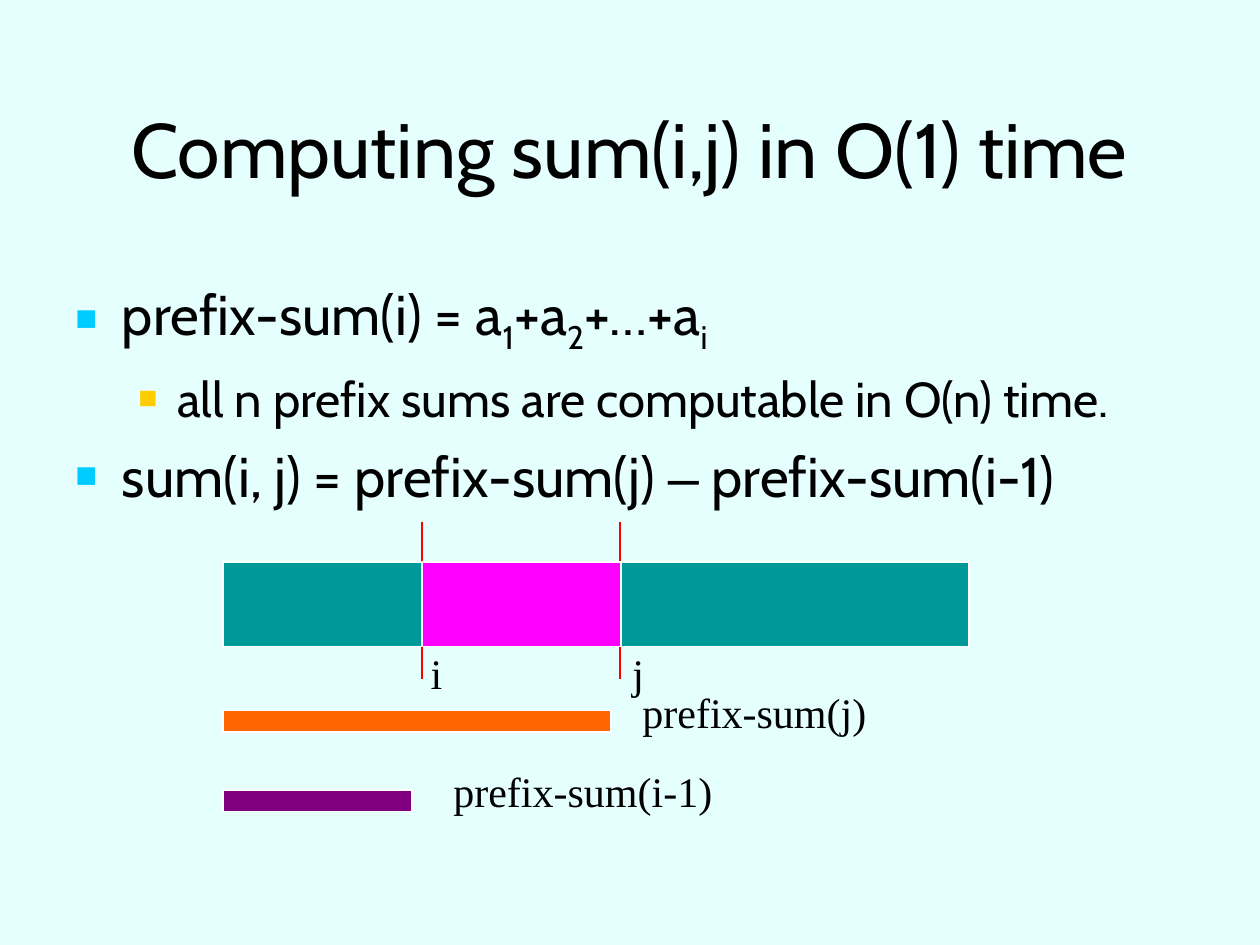
from pptx import Presentation
from pptx.util import Inches, Pt
from pptx.dml.color import RGBColor
from pptx.enum.shapes import MSO_SHAPE, MSO_CONNECTOR
from pptx.enum.text import MSO_ANCHOR, PP_ALIGN
from pptx.oxml.ns import qn
from lxml.etree import SubElement

BACKGROUND = RGBColor(0xE5, 0xFF, 0xFF)
BLACK = RGBColor(0x00, 0x00, 0x00)
WHITE = RGBColor(0xFF, 0xFF, 0xFF)
CYAN = RGBColor(0x00, 0xCC, 0xFF)
YELLOW = RGBColor(0xFF, 0xCC, 0x00)
TEAL = RGBColor(0x00, 0x99, 0x99)
MAGENTA = RGBColor(0xFF, 0x00, 0xFF)
ORANGE = RGBColor(0xFF, 0x66, 0x00)
PURPLE = RGBColor(0x80, 0x00, 0x80)
RED = RGBColor(0xFF, 0x00, 0x00)

prs = Presentation()
prs.slide_width, prs.slide_height = Inches(10), Inches(7.5)
s = prs.slides.add_slide(prs.slide_layouts[6])
s.background.fill.solid()
s.background.fill.fore_color.rgb = BACKGROUND


def add_text(text, x, y, w, h, font, size,
             align=PP_ALIGN.LEFT, anchor=MSO_ANCHOR.TOP):
    tf = s.shapes.add_textbox(Inches(x), Inches(y), Inches(w), Inches(h)).text_frame
    tf.word_wrap = True
    tf.vertical_anchor = anchor
    p = tf.paragraphs[0]
    p.text = text
    p.alignment = align
    f = p.runs[0].font
    f.name, f.size, f.color.rgb = font, Pt(size), BLACK


def add_bullet(p, color, margin, indent):
    pPr = p._p.get_or_add_pPr()
    pPr.set("marL", str(Inches(margin)))
    pPr.set("indent", str(Inches(-indent)))
    clr = SubElement(pPr, qn("a:buClr"))
    SubElement(clr, qn("a:srgbClr"), val=str(color))
    SubElement(pPr, qn("a:buSzPct"), val="65000")
    SubElement(pPr, qn("a:buFont"), typeface="Arial")
    SubElement(pPr, qn("a:buChar"), char="■")


# Title
add_text("Computing sum(i,j) in O(1) time", 0.5, 0.42, 9, 1.5, "Cabin", 44,
         PP_ALIGN.CENTER, MSO_ANCHOR.MIDDLE)

# Bulleted formulas: level, space before, runs of (text, font, baseline)
bullets = [
    (0, 0, [("prefix-sum(i) = a", "Cabin", 0), ("1", "Cabin", -25),
            ("+a", "Cabin", 0), ("2", "Cabin", -25),
            ("+…+a", "Cabin", 0), ("i", "Cabin", -25)]),
    (1, 7, [("all n prefix sums are computable in O(n) time.", "Cabin", 0)]),
    (0, 8, [("sum(i, j) = prefix-sum(j) ", "Cabin", 0), ("–", "Arial", 0),
            (" prefix-sum(i-1)", "Cabin", 0)]),
]
levels = [(32, CYAN, 0.37, 0.37), (28, YELLOW, 0.81, 0.31)]
tf = s.shapes.add_textbox(Inches(0.5), Inches(2.17), Inches(9), Inches(4.5)).text_frame
tf.word_wrap = True
for n, (level, space, runs) in enumerate(bullets):
    p = tf.paragraphs[0] if n == 0 else tf.add_paragraph()
    size, color, margin, indent = levels[level]
    p.level = level
    add_bullet(p, color, margin, indent)
    p.space_before = Pt(space)
    for text, font, baseline in runs:
        r = p.add_run()
        r.text = text
        r.font.name, r.font.size, r.font.color.rgb = font, Pt(size), BLACK
        if baseline:
            r.font._element.set("baseline", str(baseline * 1000))

# Array bar, markers at i and j, the i..j segment, and the prefix bars
left, i_x, j_x, bar_y, bar_h = 1.77, 3.35, 4.92, 4.46, 0.67
bars = [
    (left, bar_y, 5.92, bar_h, TEAL),
    (i_x, bar_y, 1.58, bar_h, MAGENTA),
    (left, 5.64, 3.08, 0.17, ORANGE),
    (left, 6.27, 1.5, 0.17, PURPLE),
]
for n, (x, y, w, h, color) in enumerate(bars):
    sp = s.shapes.add_shape(MSO_SHAPE.RECTANGLE, Inches(x), Inches(y), Inches(w), Inches(h))
    sp.shadow.inherit = False
    sp.fill.solid()
    sp.fill.fore_color.rgb = color
    sp.line.color.rgb = WHITE
    sp.line.width = Pt(0.75)
    if n == 0:  # the markers lie between the array bar and the segment
        for marker_x in (i_x, j_x):
            line = s.shapes.add_connector(MSO_CONNECTOR.STRAIGHT, Inches(marker_x), Inches(4.14),
                                          Inches(marker_x), Inches(5.39))
            line.line.color.rgb = RED
            line.line.width = Pt(0.75)
            SubElement(line._element.spPr, qn("a:effectLst"))

# Diagram labels
for text, x, y, w in [("prefix-sum(j)", 5, 5.4, 2.08), ("i", 3.32, 5.09, 0.42),
                      ("j", j_x, 5.09, 0.33), ("prefix-sum(i-1)", 3.5, 6.03, 2.33)]:
    add_text(text, x, y, w, 0.5, "Times New Roman", 24)

prs.save("out.pptx")
